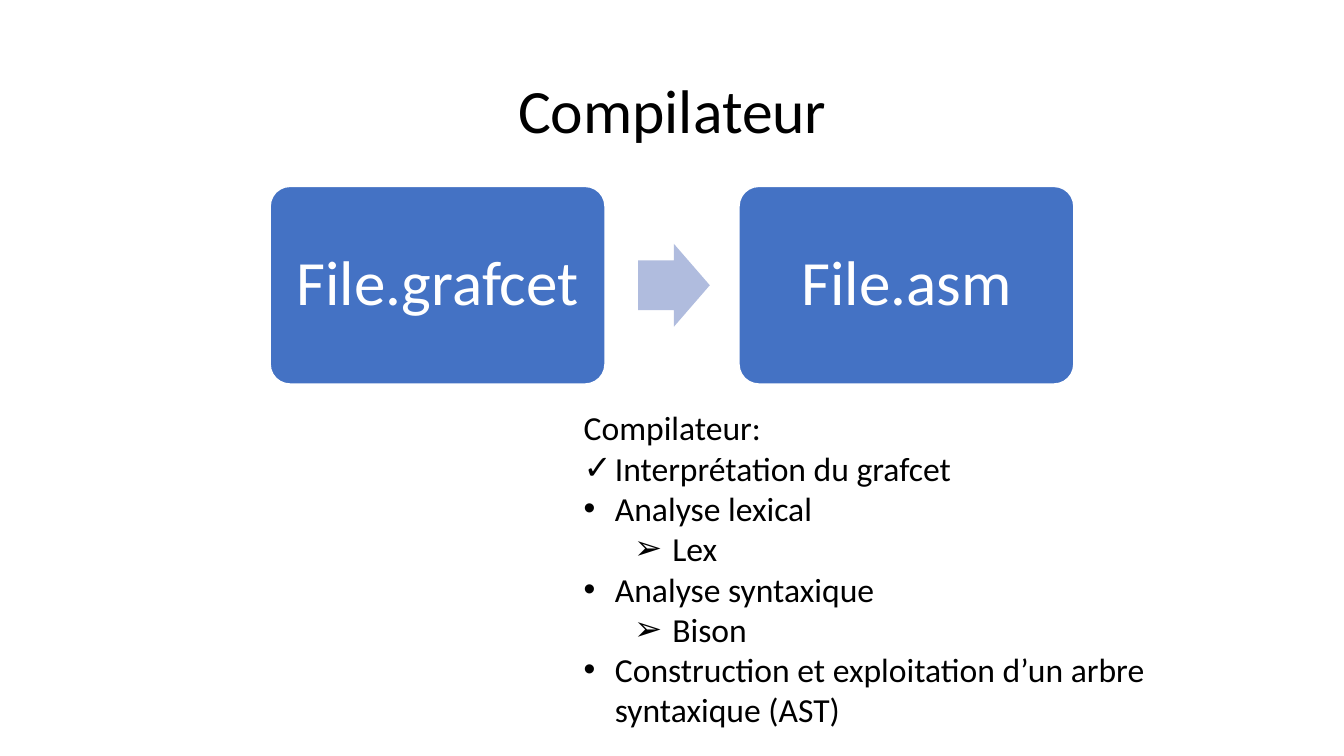
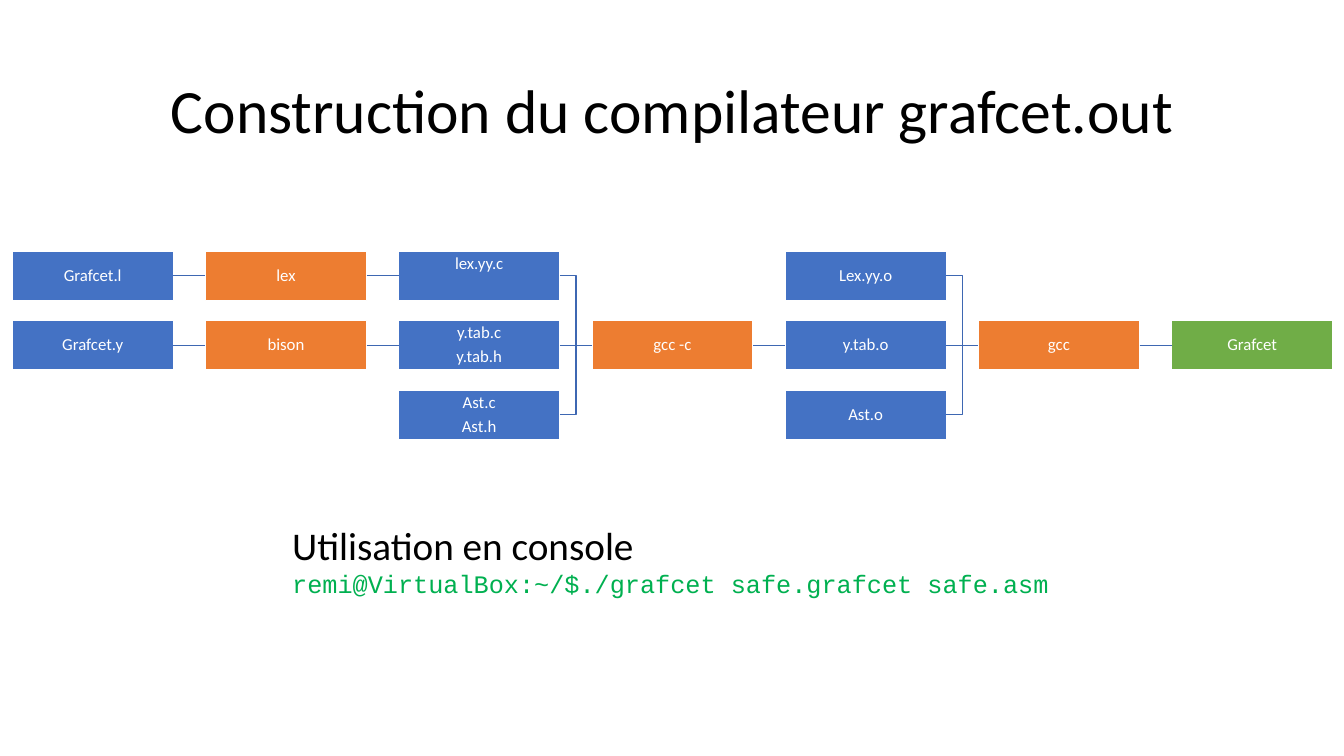
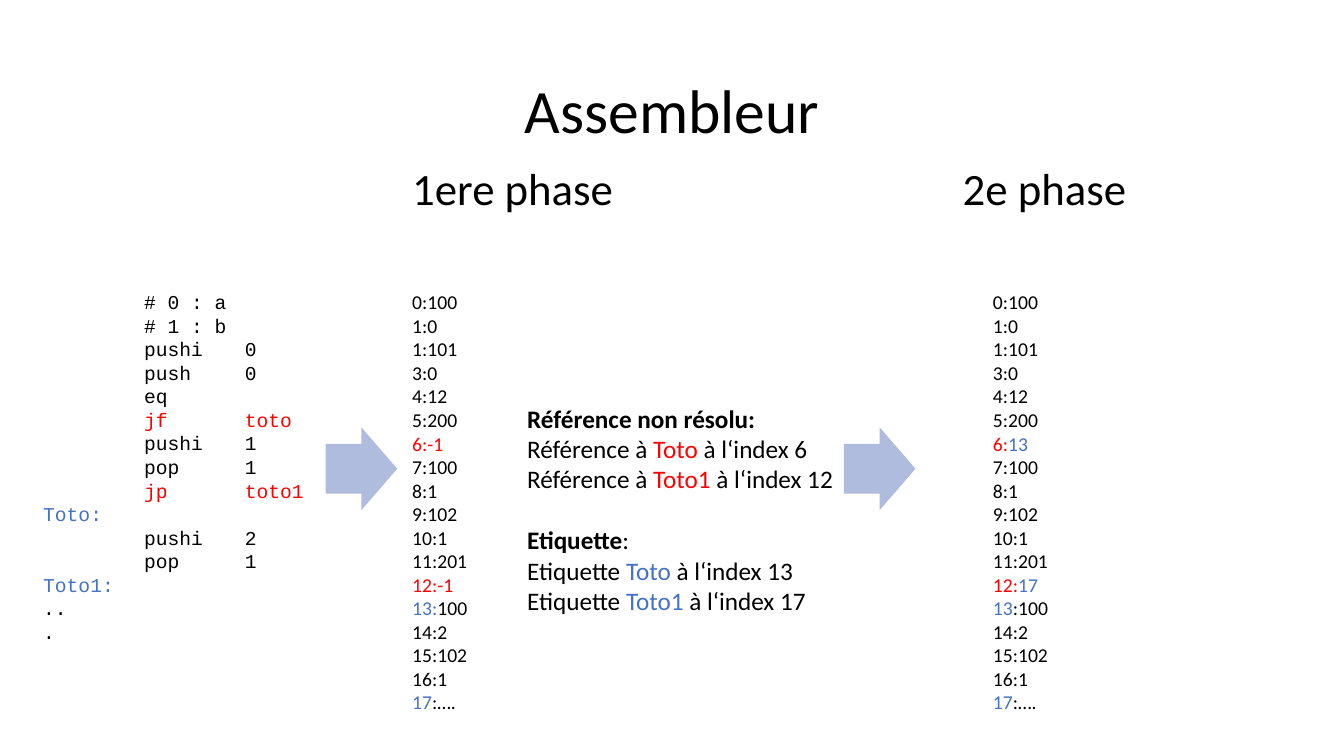
"""Build three slides on a grafcet compiler and its assembler."""
import pptx
import pptx.dml.color
import pptx.enum.shapes
import pptx.enum.text
import pptx.oxml
import pptx.util
from pptx.util import Inches, Pt

SHAPE = pptx.enum.shapes.MSO_SHAPE
LINK = pptx.enum.shapes.MSO_CONNECTOR
ANCHOR = pptx.enum.text.MSO_ANCHOR
CENTER = pptx.enum.text.PP_ALIGN.CENTER

BLACK, WHITE, RED, BLUE = "000000", "FFFFFF", "FF0000", "4472C4"
ORANGE, GREEN, PALE, LINE_BLUE, CONSOLE = "ED7D31", "70AD47", "B0BCDE", "3E67B2", "00B050"
SANS, MONO = "Calibri", "Courier New"


def line(*spans, bullet=None, **layout):
    """Describe one paragraph: its spans, bullet and paragraph format."""
    pairs = [(span, {}) if isinstance(span, str) else span for span in spans]
    return {"spans": pairs, "bullet": bullet, "layout": layout}


def red(text):
    """Return a red span."""
    return text, {"color": RED}


def blue(text):
    """Return a blue span."""
    return text, {"color": BLUE}


def bold(text):
    """Return a bold span."""
    return text, {"bold": True}


TICK, DOT, ARROW = ("✓", 0.31, 0.31), ("•", 0.31, 0.31), ("➢", 0.88, 0.38)
STEPS = [
    line("Compilateur:"),
    line("Interprétation du grafcet", bullet=TICK),
    line("Analyse lexical", bullet=DOT),
    line("Lex", bullet=ARROW),
    line("Analyse syntaxique", bullet=DOT),
    line("Bison", bullet=ARROW),
    line("Construction et exploitation d’un arbre syntaxique (AST)", bullet=DOT),
]
FILES = [("File.grafcet", 2.68), ("File.asm", 7.33)]

BUILD_BOXES = [
    (0, 0, BLUE, ["Grafcet.l"]), (0, 1, BLUE, ["Grafcet.y"]),
    (1, 0, ORANGE, ["lex"]), (1, 1, ORANGE, ["bison"]),
    (2, 0, BLUE, ["lex.yy.c"]), (2, 1, BLUE, ["y.tab.c", "y.tab.h"]),
    (2, 2, BLUE, ["Ast.c", "Ast.h"]),
    (3, 1, ORANGE, ["gcc -c"]),
    (4, 0, BLUE, ["Lex.yy.o"]), (4, 1, BLUE, ["y.tab.o"]), (4, 2, BLUE, ["Ast.o"]),
    (5, 1, ORANGE, ["gcc"]),
    (6, 1, GREEN, ["Grafcet"]),
]
BUILD_LINKS = [
    ("Grafcet.l", "lex"), ("Grafcet.y", "bison"), ("lex", "lex.yy.c"), ("bison", "y.tab.c"),
    ("lex.yy.c", "gcc -c"), ("y.tab.c", "gcc -c"), ("Ast.c", "gcc -c"), ("gcc -c", "y.tab.o"),
    ("Lex.yy.o", "gcc"), ("y.tab.o", "gcc"), ("Ast.o", "gcc"), ("gcc", "Grafcet"),
]
USAGE = [
    line("Utilisation en console"),
    line(("remi@VirtualBox:~/$./grafcet safe.grafcet safe.asm",
          {"size": Pt(18), "name": MONO, "color": CONSOLE})),
]

PROGRAM = [
    "\t# 0 : a", "\t# 1 : b", "\tpushi\t0", "\tpush\t0", "\teq", red("\tjf\ttoto"),
    "\tpushi\t1", "\tpop\t1", red("\tjp\ttoto1"), blue("Toto:"), "\tpushi\t2", "\tpop\t1",
    blue("Toto1:"), "..", ".",
]
FIRST_PASS = {6: [red("6:-1")], 12: [red("12:-1")], 13: [blue("13:"), "100"]}
SECOND_PASS = {6: [red("6:"), blue("13")], 12: [red("12:"), blue("17")],
               13: [blue("13"), ":100"]}
MEMORY = ["0:100", "1:0", "1:101", "3:0", "4:12", "5:200", "", "7:100", "8:1", "9:102",
          "10:1", "11:201", "", "", "14:2", "15:102", "16:1"]
PHASES = [("1ere phase", 3.99, 3.99, FIRST_PASS), ("2e phase", 9.45, 9.75, SECOND_PASS)]
SYMBOLS = [
    line(bold("Référence non résolu:")),
    line("Référence à ", red("Toto"), " à l‘index 6"),
    line("Référence à ", red("Toto1"), " à l‘index 12"),
    line(bold("Etiquette"), ":", space_before=Pt(22)),
    line("Etiquette ", blue("Toto"), " à l‘index 13"),
    line("Etiquette ", blue("Toto1"), " à l‘index 17"),
]


def rgb(value):
    """Turn a hex string into a colour."""
    return pptx.dml.color.RGBColor.from_string(value)


def assign(target, values):
    """Set each attribute named in a dict."""
    for name, value in values.items():
        setattr(target, name, value)


def add_xml(parent, tag, **attributes):
    """Append a drawing element to a parent."""
    child = parent.makeelement(pptx.oxml.ns.qn(tag), attributes)
    parent.append(child)
    return child


def write(shape, lines, size, color=BLACK, font=SANS, tabs=(), layout=None, **frame_format):
    """Fill a shape with paragraphs."""
    frame = shape.text_frame
    assign(frame, {"word_wrap": True, "vertical_anchor": ANCHOR.TOP, **frame_format})
    for index, entry in enumerate(lines):
        para = frame.paragraphs[0] if index == 0 else frame.add_paragraph()
        assign(para, {**(layout or {}), **entry["layout"]})
        props = para._p.get_or_add_pPr()
        if entry["bullet"]:
            mark, margin, hang = entry["bullet"]
            props.set("marL", str(Inches(margin)))
            props.set("indent", str(-Inches(hang)))
            add_xml(props, "a:buFont", typeface="Arial")
            add_xml(props, "a:buChar", char=mark)
        if tabs:
            stops = add_xml(props, "a:tabLst")
            for stop in tabs:
                add_xml(stops, "a:tab", pos=str(Inches(stop)), algn="l")
        for text, changes in entry["spans"]:
            span = para.add_run()
            span.text = text
            values = {"size": Pt(size), "name": font, "color": color, **changes}
            span.font.color.rgb = rgb(values.pop("color"))
            assign(span.font, values)


def add_text(page, place, lines, size, **options):
    """Add a text box."""
    box = page.shapes.add_textbox(*map(Inches, place))
    write(box, lines, size, **options)


def add_block(page, kind, place, fill, adjust=(), outline=None):
    """Add a filled preset shape."""
    block = page.shapes.add_shape(kind, *map(Inches, place))
    block.shadow.inherit = False
    block.fill.solid()
    block.fill.fore_color.rgb = rgb(fill)
    if outline:
        block.line.color.rgb = rgb(outline)
        block.line.width = Pt(1)
    else:
        block.line.fill.background()
    for index, value in enumerate(adjust):
        block.adjustments[index] = value
    return block


def add_label(block, lines, size, inset, **options):
    """Write centred white text in a block."""
    margins = {f"margin_{side}": Inches(inset) for side in ("left", "right", "top", "bottom")}
    layout = {"alignment": CENTER, "line_spacing": 0.9, "space_after": Pt(0.35 * size)}
    write(block, lines, size, color=WHITE, layout=layout,
          **{**margins, "vertical_anchor": ANCHOR.MIDDLE, **options})


def add_arrow(page, left, top):
    """Add a pale arrow pointing right."""
    add_block(page, SHAPE.RIGHT_ARROW, (left, top, 0.71, 0.82), PALE, (0.6, 0.5))


def add_link(page, start, end):
    """Join the right side of one box to the left side of another."""
    kind = LINK.STRAIGHT if start.top == end.top else LINK.ELBOW
    link = page.shapes.add_connector(kind, 0, 0, 0, 0)
    link.begin_connect(start, 3)
    link.end_connect(end, 1)
    link.line.color.rgb = rgb(LINE_BLUE)
    link.line.width = Pt(1)
    add_xml(link._element.spPr, "a:effectLst")


def add_page(deck, title):
    """Add a blank page with the shared title."""
    page = deck.slides.add_slide(deck.slide_layouts[6])
    add_text(page, (0.92, 0.4, 11.5, 1.45), [line(title)], 44, vertical_anchor=ANCHOR.MIDDLE,
             layout={"alignment": CENTER, "line_spacing": 0.9})
    return page


def build_compiler(deck):
    """Show what the compiler takes, gives and does."""
    page = add_page(deck, "Compilateur")
    for name, left in FILES:
        block = add_block(page, SHAPE.ROUNDED_RECTANGLE, (left, 1.85, 3.32, 1.96), BLUE,
                          (0.1,), WHITE)
        add_label(block, [line(name)], 45, 0.19)
    add_arrow(page, 6.33, 2.42)
    add_text(page, (5.69, 3.99, 6.35, 3.4), STEPS, 24)


def build_toolchain(deck):
    """Show how the compiler itself is built."""
    page = add_page(deck, "Construction du compilateur grafcet.out")
    boxes = {}
    for column, row, fill, names in BUILD_BOXES:
        place = (0.12 + column * 11.5 / 6, 2.49 + row * 0.69, 1.6, 0.49)
        box = add_block(page, SHAPE.RECTANGLE, place, fill, outline=WHITE)
        raised = {"margin_bottom": Inches(0.25)} if names == ["lex.yy.c"] else {}
        add_label(box, [line(name) for name in names], 12, 0.01, **raised)
        boxes[names[0]] = box
    for start, end in BUILD_LINKS:
        add_link(page, boxes[start], boxes[end])
    add_text(page, (2.8, 5.12, 7.74, 0.88), USAGE, 28)


def build_assembler(deck):
    """Show both passes of the assembler."""
    page = add_page(deck, "Assembleur")
    for heading, heading_left, left, changes in PHASES:
        add_text(page, (heading_left, 1.55, 3.25, 0.64), [line(heading)], 32)
        cells = [line(*changes.get(index, [cell])) for index, cell in enumerate(MEMORY)]
        cells.append(line(blue("17"), ":…."))
        add_text(page, (left, 2.83, 3.25, 4.58), cells, 14)
    for left in (3.23, 8.37):
        add_arrow(page, left, 4.24)
    add_text(page, (5.13, 3.95, 3.37, 2.83), SYMBOLS, 18)
    add_text(page, (0.33, 2.83, 3.25, 3.64), [line(code) for code in PROGRAM], 14,
             font=MONO, tabs=(1, 2))


def main():
    """Build and save the deck."""
    deck = pptx.Presentation()
    assign(deck, {"slide_width": Inches(13.33), "slide_height": Inches(7.5)})
    for build in (build_compiler, build_toolchain, build_assembler):
        build(deck)
    deck.save("out.pptx")


if __name__ == "__main__":
    main()
